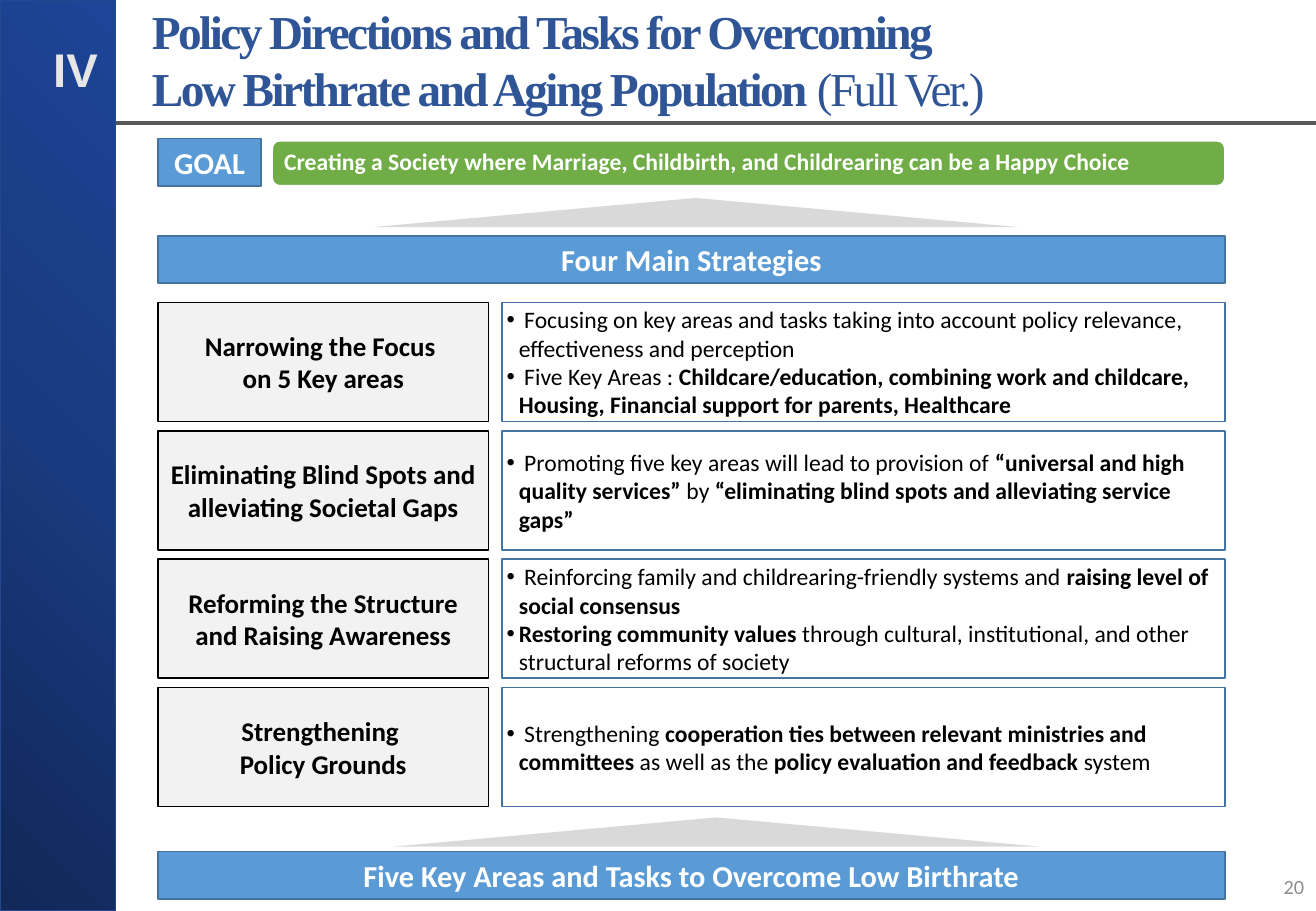
from dataclasses import dataclass

from lxml.etree import SubElement
from pptx import Presentation
from pptx.dml.color import RGBColor
from pptx.enum.shapes import MSO_CONNECTOR, MSO_SHAPE as Shape
from pptx.enum.text import MSO_ANCHOR as Anchor, MSO_AUTO_SIZE, PP_ALIGN as Align
from pptx.oxml.ns import qn
from pptx.util import Inches, Pt


@dataclass(frozen=True)
class Theme:
    body_font: str = "Calibri"
    title_font: str = "Times New Roman"
    numeral_font: str = "Arial"
    title_size: int = 28
    banner_size: int = 18
    label_size: int = 16
    detail_size: int = 14
    number_size: int = 12
    title: str = "2F5597"
    numeral: str = "E7E6E6"
    number: str = "8C8C8C"
    white: str = "FFFFFF"
    black: str = "000000"
    blue: str = "5B9BD5"
    outline: str = "43739E"
    green: str = "70AD47"
    label: str = "F2F2F2"
    arrow: str = "D9D9D9"
    rule: str = "595959"
    sidebar_line: str = "25478E"
    sidebar: tuple = ("112859", "193A7E", "1D4496")


theme = Theme()
LEFT, WIDTH = 1.3, 8.78
DETAIL_LEFT, DETAIL_WIDTH = 4.13, 5.95
ROW_TOP, ROW_STEP, ROW_HEIGHT = 2.49, 1.057, 0.98


def add_box(kind, left, top, width, height, fill=None, line=None):
    box = slide.shapes.add_shape(
        kind, Inches(left), Inches(top), Inches(width), Inches(height))
    box.shadow.inherit = False
    if fill:
        box.fill.solid()
        box.fill.fore_color.rgb = RGBColor.from_string(fill)
    else:
        box.fill.background()
    if line:
        box.line.color.rgb = RGBColor.from_string(line)
        box.line.width = Pt(1)
    else:
        box.line.fill.background()
    return box


def write(shape, lines, size, color, align=Align.CENTER, font=theme.body_font):
    """Fill the shape with lines; parts between asterisks are bold."""
    frame = shape.text_frame
    frame.word_wrap = True
    frame.vertical_anchor = Anchor.MIDDLE
    frame.text = "\n".join(lines)
    for paragraph, line in zip(frame.paragraphs, lines):
        paragraph.text = ""
        paragraph.alignment = align
        for index, part in enumerate(line.split("*")):
            if part:
                run = paragraph.add_run()
                run.text = part
                run.font.name = font
                run.font.size = Pt(size)
                run.font.bold = index % 2 == 1
                run.font.color.rgb = RGBColor.from_string(color)
    return frame


prs = Presentation()
prs.slide_width, prs.slide_height = Inches(10.83), Inches(7.5)
slide = prs.slides.add_slide(prs.slide_layouts[5])

# Header rule and sidebar
header_rule = slide.shapes.add_connector(
    MSO_CONNECTOR.STRAIGHT, Inches(0.95), Inches(1.01), Inches(10.83), Inches(1.01))
header_rule.line.color.rgb = RGBColor.from_string(theme.rule)
header_rule.line.width = Pt(2.25)
SubElement(header_rule._element.spPr, qn("a:effectLst"))

sidebar = add_box(Shape.RECTANGLE, 0, 0, 0.95, 7.5, line=theme.sidebar_line)
sidebar.fill.gradient()
gradient = sidebar._element.spPr.find(qn("a:gradFill"))
for child in list(gradient):
    gradient.remove(child)
stops = SubElement(gradient, qn("a:gsLst"))
for index, color in enumerate(theme.sidebar):
    stop = SubElement(stops, qn("a:gs"), pos=str(index * 50000))
    SubElement(stop, qn("a:srgbClr"), val=color)
radial = SubElement(gradient, qn("a:path"), path="circle")
SubElement(radial, qn("a:fillToRect"), t="100000", r="100000")

numeral = slide.shapes.add_textbox(Inches(0.34), Inches(0.28), Inches(0.57), Inches(0.57))
write(numeral, ["*IV*"], theme.title_size, theme.numeral, Align.LEFT, theme.numeral_font)

page_number = slide.shapes.add_textbox(Inches(8.4), Inches(7.1), Inches(2.43), Inches(0.4))
write(page_number, ["20"], theme.number_size, theme.number, Align.RIGHT)

# Title
title = slide.shapes.title
title.left, title.top = Inches(1.25), Inches(0.29)
title.width, title.height = Inches(9.5), Inches(0.39)
title_frame = write(
    title,
    ["*Policy Directions and Tasks for Overcoming*",
     "*Low Birthrate and Aging Population *(Full Ver.)"],
    theme.title_size, theme.title, Align.LEFT, theme.title_font)
title_frame.auto_size = MSO_AUTO_SIZE.NONE
title_frame.margin_left = title_frame.margin_right = 0
for paragraph in title_frame.paragraphs:
    for run in paragraph.runs:
        run.font._element.set("spc", "-150")

# Goal and banners
goal = add_box(Shape.ROUNDED_RECTANGLE, 2.24, 1.16, 7.84, 0.37, theme.green, theme.white)
goal_frame = write(
    goal,
    ["*Creating a Society where Marriage, Childbirth, and Childrearing can be a Happy Choice*"],
    theme.detail_size, theme.white, Align.LEFT)
goal_frame.margin_left = goal_frame.margin_right = Inches(0.08)
goal_frame.paragraphs[0].line_spacing = 0.9

banners = [
    ("GOAL", 1.14, 0.85),
    ("Four Main Strategies", 1.94, WIDTH),
    ("Five Key Areas and Tasks to Overcome Low Birthrate", 7.01, WIDTH),
]
for text, top, width in banners:
    banner = add_box(Shape.RECTANGLE, LEFT, top, width, 0.39, theme.blue, theme.outline)
    write(banner, [f"*{text}*"], theme.banner_size, theme.white)

for left, top in [(3.07, 1.63), (3.24, 6.73)]:
    add_box(Shape.FLOWCHART_EXTRACT, left, top, 5.31, 0.24, theme.arrow)

# Strategies
strategies = [
    (["*Narrowing the Focus *", "*on 5 Key areas*"],
     [" Focusing on key areas and tasks taking into account policy relevance, "
      "effectiveness and perception",
      " Five Key Areas : *Childcare/education, combining work and childcare, "
      "Housing, Financial support for parents, Healthcare*"]),
    (["*Eliminating Blind Spots and *", "*alleviating Societal Gaps*"],
     [" Promoting five key areas will lead to provision of *“universal and high "
      "quality services”* by *“eliminating blind spots and alleviating service gaps”*"]),
    (["*Reforming the Structure and Raising Awareness*"],
     [" Reinforcing family and childrearing-friendly systems and *raising level of "
      "social consensus*",
      "*Restoring community values *through cultural, institutional, and other "
      "structural reforms of society"]),
    (["*Strengthening *", "*Policy Grounds*"],
     [" Strengthening *cooperation ties between relevant ministries and committees* "
      "as well as the *policy evaluation and feedback *system"]),
]
for row, (name, details) in enumerate(strategies):
    top = ROW_TOP + row * ROW_STEP
    label = add_box(Shape.RECTANGLE, LEFT, top, 2.72, ROW_HEIGHT, theme.label, theme.black)
    write(label, name, theme.label_size, theme.black)

    detail = add_box(Shape.RECTANGLE, DETAIL_LEFT, top, DETAIL_WIDTH, ROW_HEIGHT,
                     line=theme.outline)
    detail_frame = write(detail, details, theme.detail_size, theme.black, Align.LEFT)
    detail_frame.margin_left, detail_frame.margin_right = Inches(0.04), 0
    for paragraph in detail_frame.paragraphs:
        properties = paragraph._p.get_or_add_pPr()
        properties.set("marL", str(Inches(0.1)))
        properties.set("indent", str(-Inches(0.1)))
        SubElement(properties, qn("a:buFont"), typeface="Arial")
        SubElement(properties, qn("a:buChar"), char="•")

prs.save("out.pptx")
